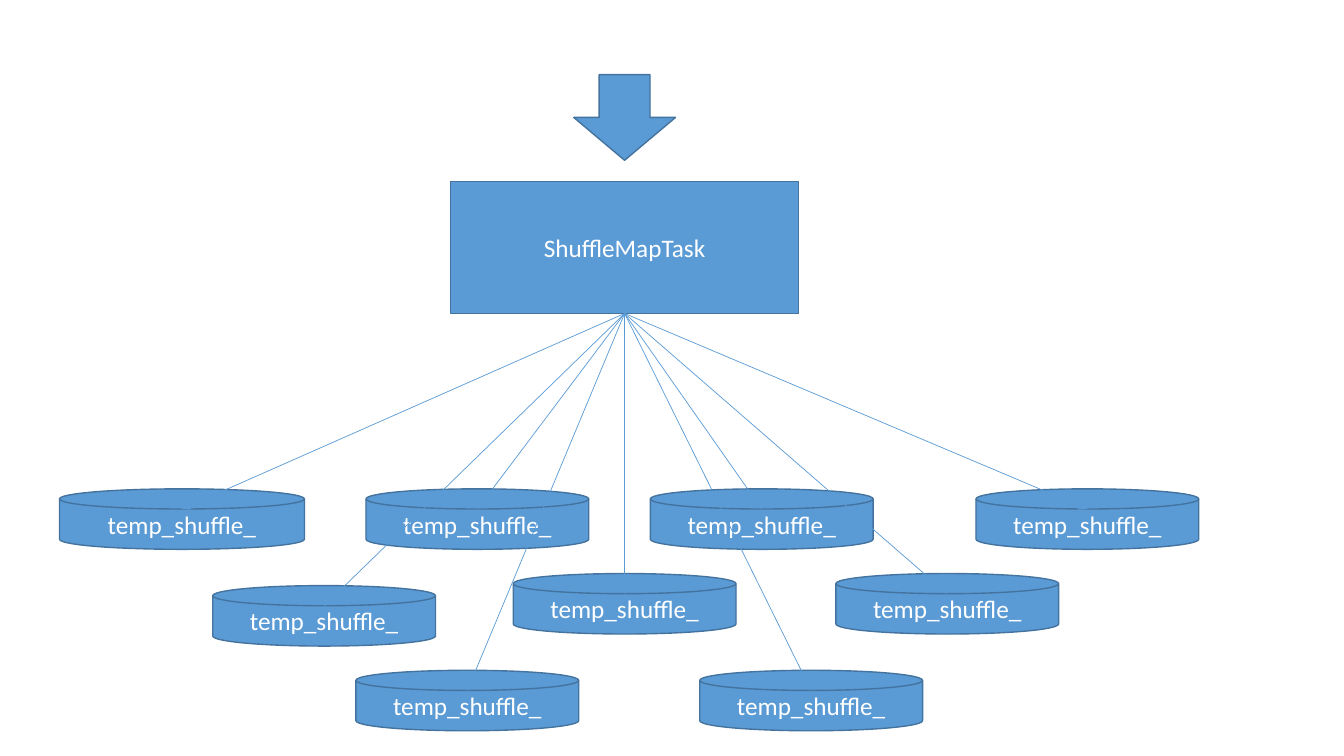
from lxml import etree
from pptx import Presentation
from pptx import util as u
from pptx.dml.color import RGBColor
from pptx.enum import shapes, text
from pptx.oxml.ns import qn

PX = 9144  # EMU per px, 100 px to the inch
SLIDE = (1333, 750)
FONT = "Calibri"
COLORS = {"fill": "5B9BD5", "outline": "43739E", "text": "FFFFFF"}

TASK = ("ShuffleMapTask", (447, 180, 345, 131))
INPUT_ARROW = (569, 74, 101, 85)
FILE_LABEL = "temp_shuffle_"
FILE_HEIGHT = 60
FILES = [  # left, top, width
    (59, 485, 243), (363, 485, 221), (645, 485, 221), (968, 485, 221),
    (211, 581, 221), (509, 569, 221), (829, 569, 221),
    (353, 665, 221), (694, 665, 221),
]


def px(*values):
    return [u.Emu(v * PX) for v in values]


def color(name):
    return RGBColor.from_string(COLORS[name])


def add_box(s, kind, box, label=""):
    sp = s.shapes.add_shape(kind, *px(*box))
    sp.shadow.inherit = False
    sp.fill.solid()
    sp.fill.fore_color.rgb = color("fill")
    sp.line.color.rgb = color("outline")
    sp.line.width = u.Pt(1)
    if label:
        tf = sp.text_frame
        tf.text = label
        tf.vertical_anchor = text.MSO_ANCHOR.MIDDLE
        p = tf.paragraphs[0]
        p.alignment = text.PP_ALIGN.CENTER
        font = p.runs[0].font
        font.name, font.size = FONT, u.Pt(18)
        font.color.rgb = color("text")
    return sp


def add_arrow(s, task, disk):
    """Run an arrow from the task's bottom to the front rim of the disk's lid."""
    end_x = disk.left + disk.width // 2
    end_y = disk.top + disk.height // 3
    c = s.shapes.add_connector(shapes.MSO_CONNECTOR.STRAIGHT, 0, 0, end_x, end_y)
    c.begin_connect(task, 2)
    c.line.color.rgb = color("fill")
    c.line.width = u.Pt(0.5)
    etree.SubElement(c.line._get_or_add_ln(), qn("a:tailEnd"), type="triangle")
    etree.SubElement(c._element.spPr, qn("a:effectLst"))


def main():
    prs = Presentation()
    prs.slide_width, prs.slide_height = px(*SLIDE)
    s = prs.slides.add_slide(prs.slide_layouts[6])
    kinds = shapes.MSO_SHAPE

    label, box = TASK
    task = add_box(s, kinds.RECTANGLE, box, label)
    disks = [
        add_box(s, kinds.FLOWCHART_MAGNETIC_DISK, (*file, FILE_HEIGHT), FILE_LABEL)
        for file in FILES
    ]
    for disk in disks:
        add_arrow(s, task, disk)
    add_box(s, kinds.DOWN_ARROW, INPUT_ARROW)

    prs.save("out.pptx")


if __name__ == "__main__":
    main()
